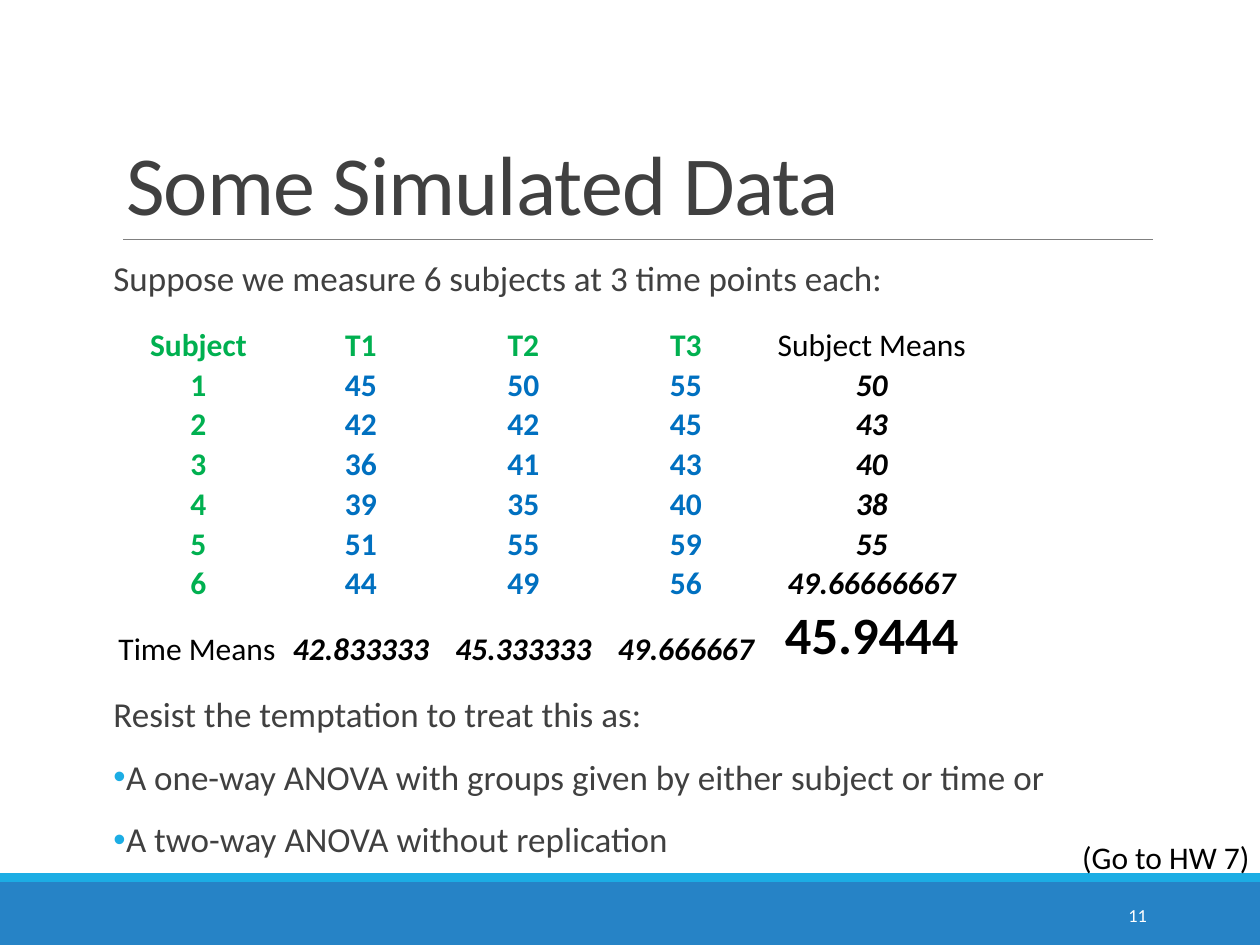
from lxml import etree
from pptx import Presentation
from pptx.dml.color import RGBColor
from pptx.enum.shapes import MSO_CONNECTOR as CONN, MSO_SHAPE as SHAPE
from pptx.enum.text import MSO_ANCHOR as ANCHOR, MSO_AUTO_SIZE as AUTO, PP_ALIGN as ALIGN
from pptx.oxml.ns import qn
from pptx.util import Inches, Pt

COLORS = {
    "band": "2683C6", "accent": "1CADE4", "rule": "808080", "text": "404040",
    "label": "00B050", "value": "0070C0", "black": "000000", "white": "FFFFFF",
}
FONT = "Calibri"

DATA = [
    ["Subject", "T1", "T2", "T3", "Subject Means"],
    ["1", "45", "50", "55", "50"],
    ["2", "42", "42", "45", "43"],
    ["3", "36", "41", "43", "40"],
    ["4", "39", "35", "40", "38"],
    ["5", "51", "55", "59", "55"],
    ["6", "44", "49", "56", "49.66666667"],
    ["Time Means", "42.833333", "45.333333", "49.666667", "45.9444"],
]
COL_WIDTHS = [1.29] * 4 + [1.66]
ROW_HEIGHTS = [0.31] * 7 + [0.51]


def rgb(name):
    return RGBColor.from_string(COLORS[name])


def write(p, text, size=18, color="black", bold=False, italic=False,
          align=ALIGN.LEFT, line=None, before=0, after=0, tracking=None):
    """Put one formatted run in a paragraph."""
    p.alignment = align
    p.space_before, p.space_after = Pt(before), Pt(after)
    if line:
        p.line_spacing = line
    r = p.add_run()
    r.text = text
    f = r.font
    f.name, f.size, f.bold, f.italic = FONT, Pt(size), bold, italic
    f.color.rgb = rgb(color)
    if tracking:
        r._r.get_or_add_rPr().set("spc", str(round(tracking * 100)))


def set_bullet(p, char=None):
    """Give a paragraph a bullet with a small hanging indent, or none."""
    pPr = p._p.get_or_add_pPr()
    indent = Inches(0.1) if char else 0
    pPr.set("marL", str(indent))
    pPr.set("indent", str(-indent))
    if char:
        clr = etree.SubElement(pPr, qn("a:buClr"))
        etree.SubElement(clr, qn("a:srgbClr")).set("val", COLORS["accent"])
        etree.SubElement(pPr, qn("a:buChar")).set("char", char)
    else:
        etree.SubElement(pPr, qn("a:buNone"))


def place(sp, x, y, w, h):
    sp.left, sp.top, sp.width, sp.height = map(Inches, (x, y, w, h))


def add_band(slide, y, h, color):
    sp = slide.shapes.add_shape(SHAPE.RECTANGLE, 0, Inches(y), Inches(10), Inches(h))
    sp.shadow.inherit = False
    sp.fill.solid()
    sp.fill.fore_color.rgb = rgb(color)
    sp.line.fill.background()


def add_rule(slide, x1, x2, y):
    line = slide.shapes.add_connector(
        CONN.STRAIGHT, Inches(x1), Inches(y), Inches(x2), Inches(y))
    line.line.color.rgb = rgb("rule")
    line.line.width = Pt(0.5)
    etree.SubElement(line._element.spPr, qn("a:effectLst"))


def add_label(slide, box, text, wrap=True, anchor=ANCHOR.TOP, **fmt):
    tf = slide.shapes.add_textbox(*map(Inches, box)).text_frame
    tf.word_wrap = wrap
    tf.vertical_anchor = anchor
    write(tf.paragraphs[0], text, **fmt)


def fill_title(slide):
    sp = slide.shapes.title
    place(sp, 0.9, 0.31, 8.25, 1.59)
    tf = sp.text_frame
    tf.auto_size = AUTO.NONE
    tf.vertical_anchor = ANCHOR.BOTTOM
    write(tf.paragraphs[0], "Some Simulated Data", size=48, color="text",
          line=0.85, tracking=-0.5)


def fill_body(slide):
    sp = slide.placeholders[1]
    place(sp, 0.9, 2.02, 8.25, 4.98)
    tf = sp.text_frame
    tf.auto_size = AUTO.NONE
    tf.margin_left = tf.margin_right = 0
    # The large space before the second paragraph leaves room for the table
    items = [
        ("Suppose we measure 6 subjects at 3 time points each:", None, 0),
        ("Resist the temptation to treat this as:", None, 226),
        ("A one-way ANOVA with groups given by either subject or time or", "•", 12),
        ("A two-way ANOVA without replication", "•", 12),
    ]
    for i, (text, bullet, before) in enumerate(items):
        p = tf.add_paragraph() if i else tf.paragraphs[0]
        set_bullet(p, bullet)
        write(p, text, size=20, color="text", line=0.9, before=before, after=2)


def cell_format(row, col):
    """Labels are green, values blue, and means black italic."""
    last_row, last_col = row == len(DATA) - 1, col == len(COL_WIDTHS) - 1
    if last_row and last_col:
        return dict(size=30, bold=True)
    if last_row and col == 0:
        return dict(align=ALIGN.LEFT)
    if last_col and row == 0:
        return dict()
    if last_row or last_col:
        return dict(bold=True, italic=True)
    return dict(color="label" if row == 0 or col == 0 else "value", bold=True)


def add_data_table(slide):
    table = slide.shapes.add_table(
        len(DATA), len(COL_WIDTHS), Inches(0.93), Inches(2.58),
        Inches(sum(COL_WIDTHS)), Inches(sum(ROW_HEIGHTS))).table
    table.first_row = table.horz_banding = False
    for column, width in zip(table.columns, COL_WIDTHS):
        column.width = Inches(width)
    for i, (row, height) in enumerate(zip(table.rows, ROW_HEIGHTS)):
        row.height = Inches(height)
        for j, cell in enumerate(row.cells):
            cell.fill.background()
            cell.vertical_anchor = ANCHOR.BOTTOM
            cell.margin_left = cell.margin_right = cell.margin_top = Inches(0.01)
            cell.margin_bottom = 0
            fmt = {"align": ALIGN.CENTER, **cell_format(i, j)}
            write(cell.text_frame.paragraphs[0], DATA[i][j], **fmt)


def main():
    prs = Presentation()
    prs.slide_width, prs.slide_height = Inches(10), Inches(7.5)
    slide = prs.slides.add_slide(prs.slide_layouts[1])

    # Footer bands and title rule
    add_band(slide, 7, 0.5, "band")
    add_band(slide, 6.93, 0.07, "accent")
    add_rule(slide, 0.98, 9.15, 1.9)

    # Content
    fill_title(slide)
    fill_body(slide)
    add_data_table(slide)

    # Note and slide number
    add_label(slide, (8.49, 6.6, 1.55, 0.4), "(Go to HW 7)", wrap=False)
    add_label(slide, (8.12, 7.06, 1.08, 0.4), "11", anchor=ANCHOR.MIDDLE,
              size=10.5, color="white", align=ALIGN.RIGHT)

    prs.save("out.pptx")


if __name__ == "__main__":
    main()
